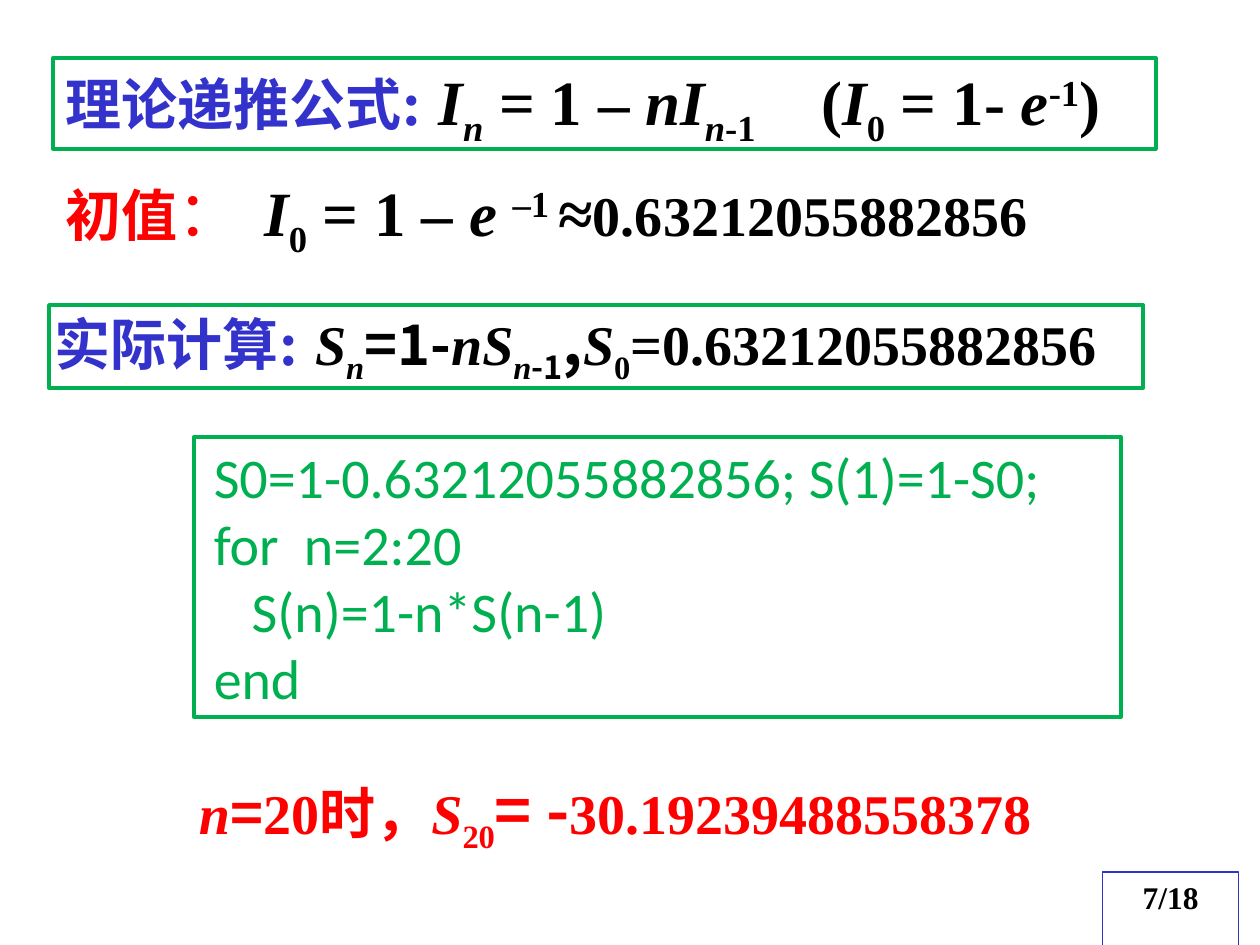
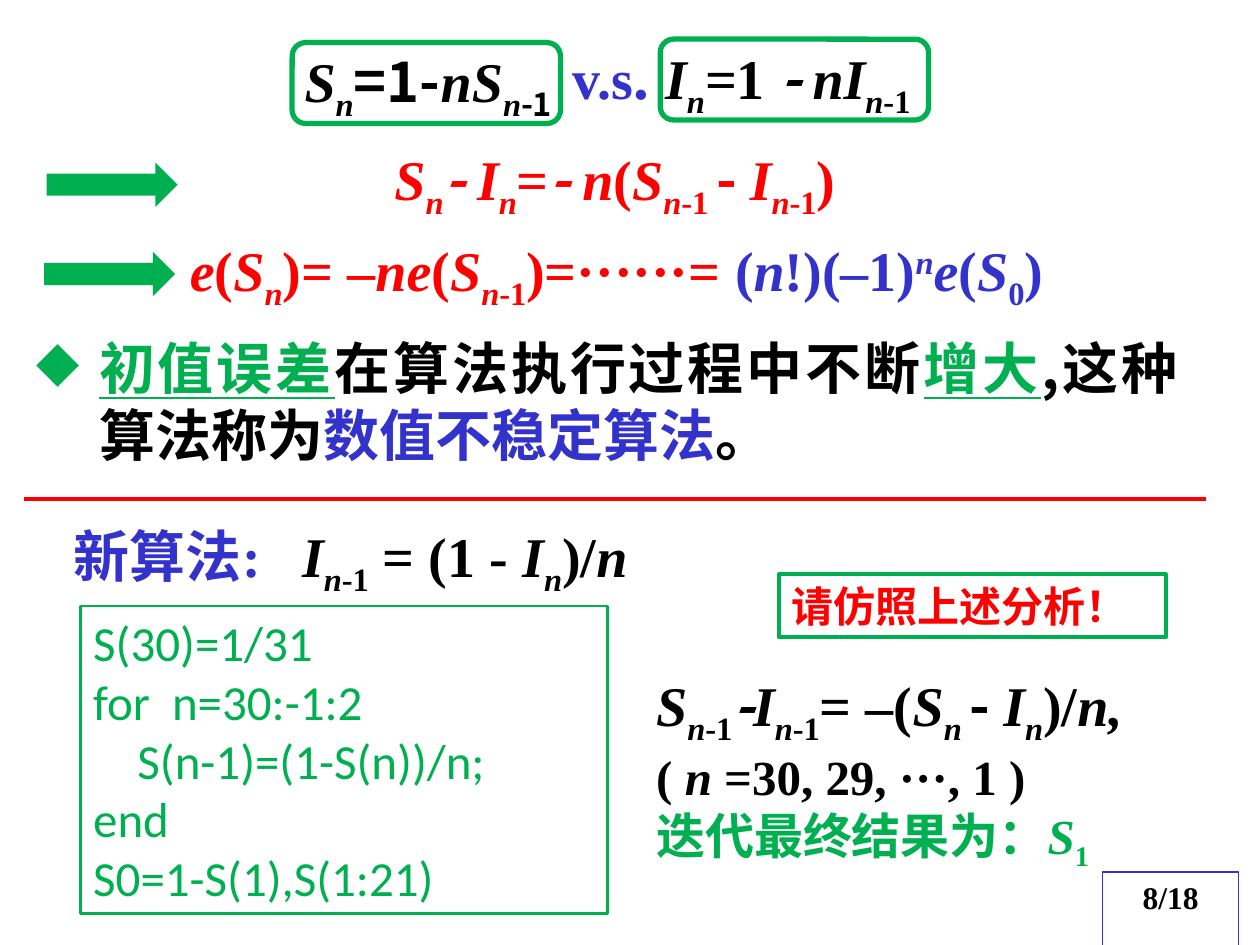
import functools
from dataclasses import dataclass
from typing import Any, NamedTuple

import pptx
import pptx.dml.color
import pptx.enum.shapes
import pptx.enum.text
import pptx.oxml
import pptx.oxml.ns
import pptx.util
from lxml import etree

Cm = pptx.util.Cm
Pt = pptx.util.Pt
SHAPE = pptx.enum.shapes.MSO_SHAPE
ALIGN = pptx.enum.text.PP_ALIGN


@dataclass(frozen=True)
class Theme:
    black: str = "000000"
    blue: str = "3333CC"
    red: str = "FF0000"
    green: str = "00B050"
    serif: str = "Times New Roman"
    sans: str = "Calibri"
    han: str = "Noto Sans CJK SC"
    large: int = 36
    body: int = 32
    small: int = 28
    note: int = 24
    page: int = 18
    frame: float = 2.25


T = Theme()


class Box(NamedTuple):
    left: float
    top: float
    width: float
    height: float

    def lengths(self) -> list[int]:
        return [Cm(v) for v in self]


class Span(NamedTuple):
    text: str
    fmt: dict[str, Any]


Line = tuple[Span, ...]


def span(text: str, **fmt: Any) -> Span:
    return Span(text, fmt)


it = functools.partial(span, italic=True)
sub = functools.partial(span, base=-25)
sub_it = functools.partial(sub, italic=True)
sup = functools.partial(span, base=30)
han = functools.partial(span, font=T.han)


def var(name: str, index: str = "n") -> Line:
    return it(name), sub_it(index) if index.isalpha() else sub(index)


def prev(name: str) -> Line:
    return *var(name), sub("-1")


S_STEP: Line = (*var("S"), han("=1-"), it("nS"), sub_it("n"), han("-1", base=-25))


def rgb(color: str) -> pptx.dml.color.RGBColor:
    return pptx.dml.color.RGBColor.from_string(color)


def child(parent: Any, tag: str, **attrs: Any) -> Any:
    el = etree.SubElement(parent, pptx.oxml.ns.qn(tag))
    for key, value in attrs.items():
        el.set(key, str(value))
    return el


def add_run(p: Any, text: str, *, size: int = T.body, color: str = T.black,
            font: str = T.serif, bold: bool = True, italic: bool = False,
            underline: bool = False, base: int = 0) -> None:
    r = p.add_run()
    r.text = text
    f = r.font
    f.size, f.name, f.bold, f.italic = Pt(size), font, bold, italic
    f.underline = underline
    f.color.rgb = rgb(color)
    rPr = r._r.get_or_add_rPr()
    if base:
        rPr.set("baseline", str(base * 1000))
    child(rPr, "a:ea", typeface=T.han)


def write(sp: Any, *lines: Line, align: Any = ALIGN.LEFT, tab: float = 0,
          bullet: str = "", **fmt: Any) -> None:
    tf = sp.text_frame
    tf.word_wrap = True
    tf.vertical_anchor = pptx.enum.text.MSO_ANCHOR.TOP
    for i, line in enumerate(lines):
        p = tf.paragraphs[0] if i == 0 else tf.add_paragraph()
        p.alignment = align
        pPr = p._p.get_or_add_pPr()
        if bullet:
            pPr.set("marL", str(Cm(1.27)))
            pPr.set("indent", str(Cm(-1.27)))
            child(child(pPr, "a:buClr"), "a:srgbClr", val=T.green)
            child(pPr, "a:buChar", char=bullet)
        if tab:
            child(child(pPr, "a:tabLst"), "a:tab", pos=Cm(tab), algn="l")
        for s in line:
            add_run(p, s.text, **{**fmt, **s.fmt})


def add_text(slide: Any, box: Box, *lines: Line, **fmt: Any) -> None:
    write(slide.shapes.add_textbox(*box.lengths()), *lines, **fmt)


def add_box(slide: Any, box: Box, kind: Any = SHAPE.RECTANGLE, line: str = T.green,
            width: float = T.frame, fill: str = "") -> Any:
    sp = slide.shapes.add_shape(kind, *box.lengths())
    sp.shadow.inherit = False
    if fill:
        sp.fill.solid()
        sp.fill.fore_color.rgb = rgb(fill)
        sp.line.fill.background()
    else:
        sp.fill.background()
        sp.line.color.rgb = rgb(line)
        sp.line.width = Pt(width)
    return sp


def write_code(sp: Any, code: str, size: int) -> None:
    lines = [(span(row),) for row in code.splitlines()]
    write(sp, *lines, size=size, color=T.green, font=T.sans, bold=False)


def add_rule(slide: Any, left: float, right: float, y: float) -> None:
    ln = slide.shapes.add_connector(pptx.enum.shapes.MSO_CONNECTOR.STRAIGHT,
                                    Cm(left), Cm(y), Cm(right), Cm(y))
    ln.line.color.rgb = rgb(T.red)
    ln.line.width = Pt(T.frame)
    child(ln._element.spPr, "a:effectLst")


def new_slide(prs: Any, page: str) -> Any:
    slide = prs.slides.add_slide(prs.slide_layouts[6])
    sp = add_box(slide, Box(22.23, 17.58, 2.74, 1.78), line=T.blue, width=0.75)
    write(sp, (span(page),), align=ALIGN.CENTER, size=T.page)
    return slide


FORWARD_CODE = """S0=1-0.63212055882856; S(1)=1-S0;
for  n=2:20
   S(n)=1-n*S(n-1)
end"""

BACKWARD_CODE = """S(30)=1/31
for  n=30:-1:2
    S(n-1)=(1-S(n))/n;
end
S0=1-S(1),S(1:21)"""


def build_forward(prs: Any) -> None:
    slide = new_slide(prs, "7/18")
    add_text(slide, Box(1.07, 3.38, 4.24, 1.78),
             (span("初值"), span("：", size=T.large, bold=False)),
             font=T.han, color=T.red)
    add_text(slide, Box(5.08, 3.38, 17.98, 2),
             (*var("I", "0"), span(" = 1 – "), it("e "), sup("–1 "), span("≈"),
              span("0.63212055882856", size=T.body)), size=T.large)
    add_text(slide, Box(1.07, 1.14, 22.86, 2),
             (span("理论递推公式", size=T.body, color=T.blue), span(": ", color=T.blue),
              *var("I"), span(" = 1 – "), it("n"), *prev("I"), span("\t("),
              *var("I", "0"), span(" = 1- "), it("e"), sup("-1"), span(")")),
             size=T.large, tab=15.24)
    add_box(slide, Box(1.07, 1.17, 22.23, 1.83))

    code = slide.shapes.add_textbox(*Box(4.06, 8.79, 19.23, 5.69).lengths())
    write_code(code, FORWARD_CODE, T.body)
    add_box(slide, Box(3.91, 8.81, 18.69, 5.64))

    add_text(slide, Box(3.76, 15.42, 19.69, 1.96),
             (it("n"), han("="), span("20"), han("时，"), *var("S", "20"),
              han("= -", size=T.large), span("30.19239488558378")), color=T.red)
    add_text(slide, Box(0.84, 5.97, 23.06, 1.96),
             (span("实际计算", color=T.blue), span(": ", size=T.large, color=T.blue),
              *S_STEP, han(",", size=T.large), *var("S", "0"),
              span("=0.63212055882856")))
    add_box(slide, Box(0.99, 6.15, 22.05, 1.68))


def build_comparison(prs: Any) -> None:
    slide = new_slide(prs, "8/18")
    add_text(slide, Box(11.3, 0.61, 8.51, 1.96),
             (span("v.s", color=T.blue), span(". ", size=T.large, color=T.blue),
              *var("I"), span("=1 "), han("- ", italic=True), it("n"), *prev("I")))
    add_text(slide, Box(7.7, 2.79, 10.8, 1.8),
             (*var("S"), han("- ", italic=True), *var("I"), span("="),
              han("- ", italic=True), it("n"), span("("), *prev("S"), sub(" "),
              han("- "), *prev("I"), span(")")), color=T.red)
    blue = functools.partial(span, color=T.blue)
    add_text(slide, Box(3.58, 4.62, 21.79, 1.8),
             (it("e"), span("("), *var("S"), span(")= –"), it("ne"), span("("),
              *prev("S"), span(")=······= "), blue("("), blue("n", italic=True),
              blue("!)(–1)"), blue("n", italic=True, base=30), blue("e", italic=True),
              blue("("), blue("S", italic=True), blue("0", base=-25), blue(")")),
             color=T.red)
    add_text(slide, Box(1.24, 10.39, 12.9, 1.8),
             (blue("新算法:\t"), *prev("I"), span(" = (1 - "), *var("I"),
              span(")/"), it("n")), tab=4.6)
    write_code(add_box(slide, Box(1.63, 12.22, 10.62, 6.2), width=1.5),
               BACKWARD_CODE, T.small)

    key = functools.partial(span, color=T.green, underline=True)
    add_text(slide, Box(0.48, 6.6, 23.5, 2.97),
             (key("初值误差"), span("在算法执行过程中不断"), key("增大"),
              span(",这种算法称为"), blue("数值不稳定算法"), span("。")),
             font=T.han, align=ALIGN.JUSTIFY, bullet="◆")
    small = functools.partial(span, size=T.small)
    result = functools.partial(small, color=T.green)
    add_text(slide, Box(12.98, 13.39, 11, 4.34),
             (*prev("S"), han("-", italic=True), *prev("I"), span("= –("), *var("S"),
              sub(" "), han("- "), *var("I"), span(")/"), it("n,")),
             (small("( "), small("n", italic=True), small(" =30, 29, ···, 1 )")),
             (result("迭代最终结果为：", font=T.han), result("S", italic=True),
              result("1", base=-25)))
    add_rule(slide, 0.48, 24.31, 10.06)

    add_text(slide, Box(5.89, 0.81, 5.79, 1.8), S_STEP)
    for left, top in ((5.89, 0.86), (13.31, 0.79)):
        add_box(slide, Box(left, top, 5.41, 1.63), SHAPE.ROUNDED_RECTANGLE, width=3)
    for left, top in ((0.94, 3.28), (0.89, 5.08)):
        add_box(slide, Box(left, top, 2.64, 0.89), SHAPE.RIGHT_ARROW, fill=T.green)
    write(add_box(slide, Box(15.7, 11.58, 7.8, 1.27)), (span("请仿照上述分析！"),),
          font=T.han, size=T.note, color=T.red)


def main() -> None:
    prs = pptx.Presentation()
    prs.slide_width, prs.slide_height = Cm(25.4), Cm(19.05)
    build_forward(prs)
    build_comparison(prs)
    prs.save("out.pptx")


if __name__ == "__main__":
    main()
